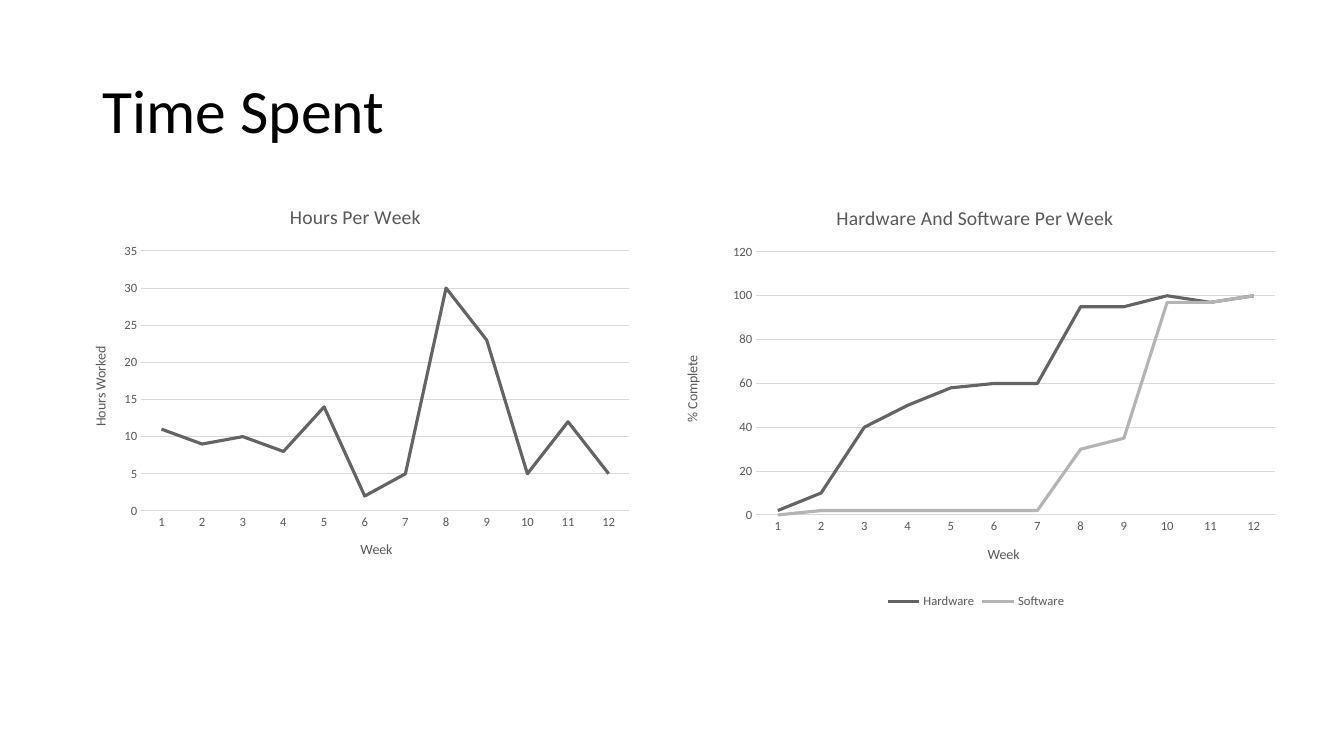
from dataclasses import dataclass
from typing import Any

from lxml import etree
from pptx import Presentation
from pptx.chart import data as chart_data
from pptx.dml.color import RGBColor
from pptx.enum import chart as charts, text
from pptx.oxml import ns
from pptx.util import Inches, Pt

FONT = "Calibri"
COLORS = {
    "title": "000000",
    "label": "595959",
    "grid": "D9D9D9",
    "dark": "646464",
    "light": "B4B4B4",
}


@dataclass
class Area:
    left: float
    top: float
    width: float = 0
    height: float = 0


@dataclass
class Series:
    name: str
    color: str
    values: list[int]


@dataclass
class Label:
    text: str
    left: float
    top: float


@dataclass
class WeekChart:
    frame: Area
    plot: Area
    title: Label
    week_title: Label
    value_title: Label
    maximum: int
    step: int
    series: list[Series]


def color(name: str) -> RGBColor:
    return RGBColor.from_string(COLORS[name])


def set_format(target: Any, formats: dict[str, Any]) -> None:
    for name, value in formats.items():
        setattr(target, name, value)


def style_font(font: Any, size: float, shade: str = "label") -> None:
    set_format(font, {"name": FONT, "size": Pt(size), "bold": False})
    font.color.rgb = color(shade)


def style_line(line: Any, shade: str, width: float) -> None:
    line.color.rgb = color(shade)
    line.width = Pt(width)


def place(parent: Any, frame: Area, area: Area, index: int) -> None:
    for layout in parent.findall(ns.qn("c:layout")):
        parent.remove(layout)
    layout = etree.Element(ns.qn("c:layout"))
    manual = etree.SubElement(layout, ns.qn("c:manualLayout"))
    values: dict[str, Any] = {"xMode": "edge", "yMode": "edge"}
    if area.width:
        values = {"layoutTarget": "inner", **values}
    values["x"] = round((area.left - frame.left) / frame.width, 4)
    values["y"] = round((area.top - frame.top) / frame.height, 4)
    if area.width:
        values["w"] = round(area.width / frame.width, 4)
        values["h"] = round(area.height / frame.height, 4)
    for name, value in values.items():
        etree.SubElement(manual, ns.qn(f"c:{name}")).set("val", str(value))
    parent.insert(index, layout)


def add_label(title: Any, label: Label, frame: Area, size: float) -> None:
    span = title.text_frame.paragraphs[0].add_run()
    span.text = label.text
    style_font(span.font, size)
    place(title.element, frame, Area(label.left, label.top), 1)


def add_week_chart(page: Any, item: WeekChart) -> None:
    data = chart_data.CategoryChartData()
    data.categories = [str(week) for week in range(1, 13)]
    for series in item.series:
        data.add_series(series.name, series.values)
    frame = item.frame
    lengths = [Inches(n) for n in (frame.left, frame.top, frame.width, frame.height)]
    chart = page.shapes.add_chart(charts.XL_CHART_TYPE.LINE, *lengths, data).chart
    style_font(chart.font, 10, "title")
    add_label(chart.chart_title, item.title, frame, 14)
    place(chart.element.find(".//" + ns.qn("c:plotArea")), frame, item.plot, 0)

    weeks, values = chart.category_axis, chart.value_axis
    for axis, label in ((weeks, item.week_title), (values, item.value_title)):
        add_label(axis.axis_title, label, frame, 10)
        style_font(axis.tick_labels.font, 9)
        axis.major_tick_mark = axis.minor_tick_mark = charts.XL_TICK_MARK.NONE
    style_line(weeks.format.line, "grid", 0.75)
    values.format.line.fill.background()
    style_line(values.major_gridlines.format.line, "grid", 0.75)
    set_format(values, {"minimum_scale": 0, "maximum_scale": item.maximum, "major_unit": item.step})
    body = values.axis_title.element.find(".//" + ns.qn("a:bodyPr"))
    body.set("rot", "-5400000")
    body.set("vert", "horz")

    chart.plots[0].vary_by_categories = False
    for line, series in zip(chart.plots[0].series, item.series):
        line.smooth = False
        line.marker.style = charts.XL_MARKER_STYLE.NONE
        style_line(line.format.line, series.color, 2.25)
    chart.has_legend = len(item.series) > 1
    if chart.has_legend:
        legend_format = {"position": charts.XL_LEGEND_POSITION.BOTTOM, "include_in_layout": False}
        set_format(chart.legend, legend_format)
        style_font(chart.legend.font, 9)


def add_title(page: Any, words: str) -> None:
    box = page.shapes.add_textbox(Inches(0.92), Inches(0.4), Inches(11.5), Inches(1.45))
    set_format(box.text_frame, {"word_wrap": True, "vertical_anchor": text.MSO_ANCHOR.MIDDLE})
    para = box.text_frame.paragraphs[0]
    para.line_spacing = 0.9
    span = para.add_run()
    span.text = words
    style_font(span.font, 44, "title")


WEEK_CHARTS = [
    WeekChart(
        Area(0.7, 1.85, 5.66, 3.89),
        Area(1.4, 2.49, 4.84, 2.58),
        Label("Hours Per Week", 2.84, 1.98),
        Label("Week", 3.55, 5.33),
        Label("Hours Worked", 0.88, 3.41),
        35,
        5,
        [Series("Series 1", "dark", [11, 9, 10, 8, 14, 2, 5, 30, 23, 5, 12, 5])],
    ),
    WeekChart(
        Area(6.58, 1.85, 6.2, 4.23),
        Area(7.5, 2.5, 5.15, 2.61),
        Label("Hardware And Software Per Week", 8.26, 1.99),
        Label("Week", 9.77, 5.38),
        Label("% Complete", 6.75, 3.5),
        120,
        20,
        [
            Series("Hardware", "dark", [2, 10, 40, 50, 58, 60, 60, 95, 95, 100, 97, 100]),
            Series("Software", "light", [0, 2, 2, 2, 2, 2, 2, 30, 35, 97, 97, 100]),
        ],
    ),
]

deck = Presentation()
set_format(deck, {"slide_width": Inches(13.33), "slide_height": Inches(7.5)})
page = deck.slides.add_slide(deck.slide_layouts[6])
add_title(page, "Time Spent")
for week_chart in WEEK_CHARTS:
    add_week_chart(page, week_chart)
deck.save("out.pptx")
